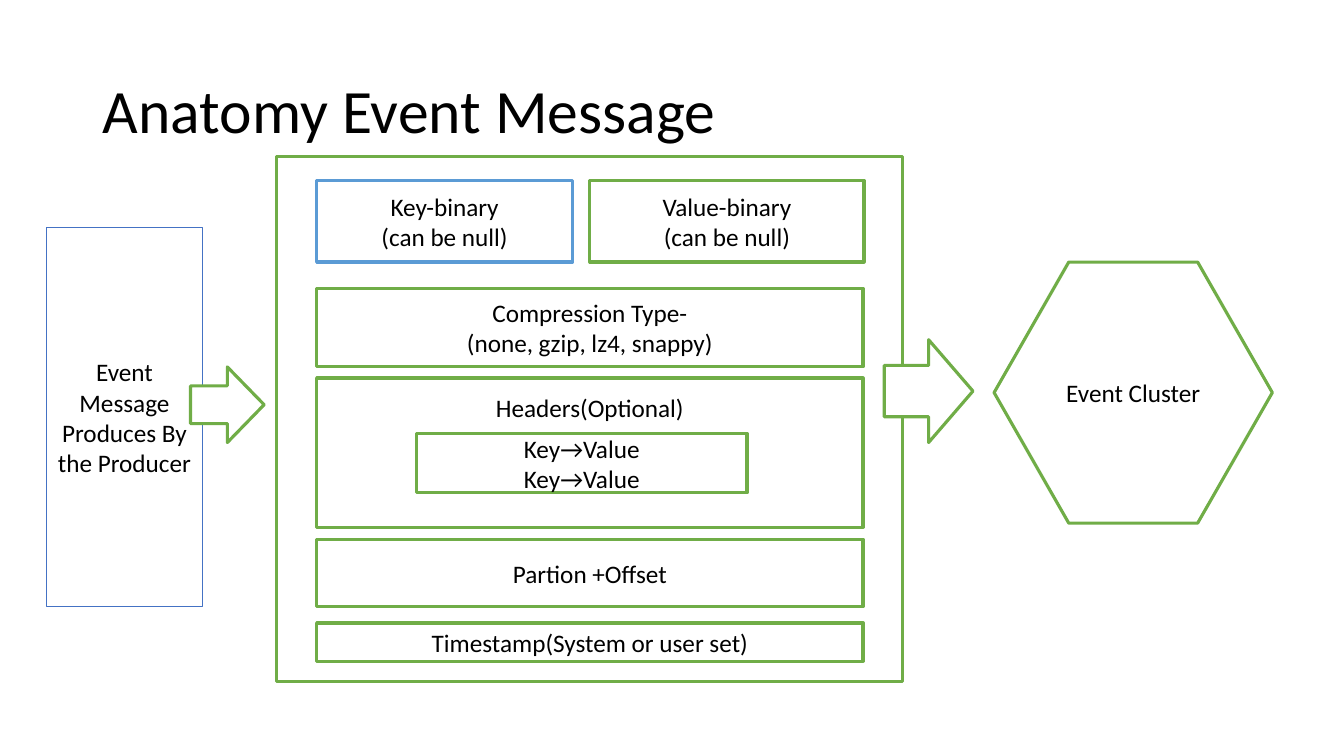
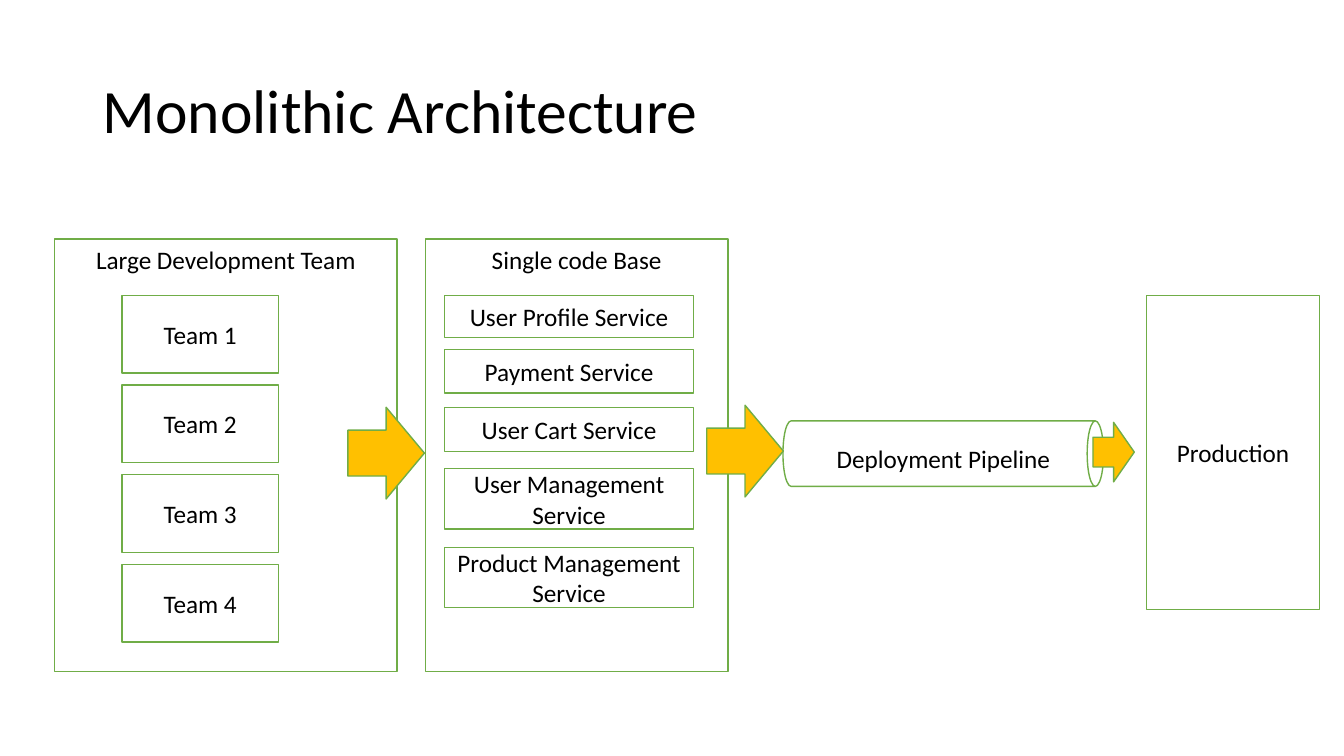
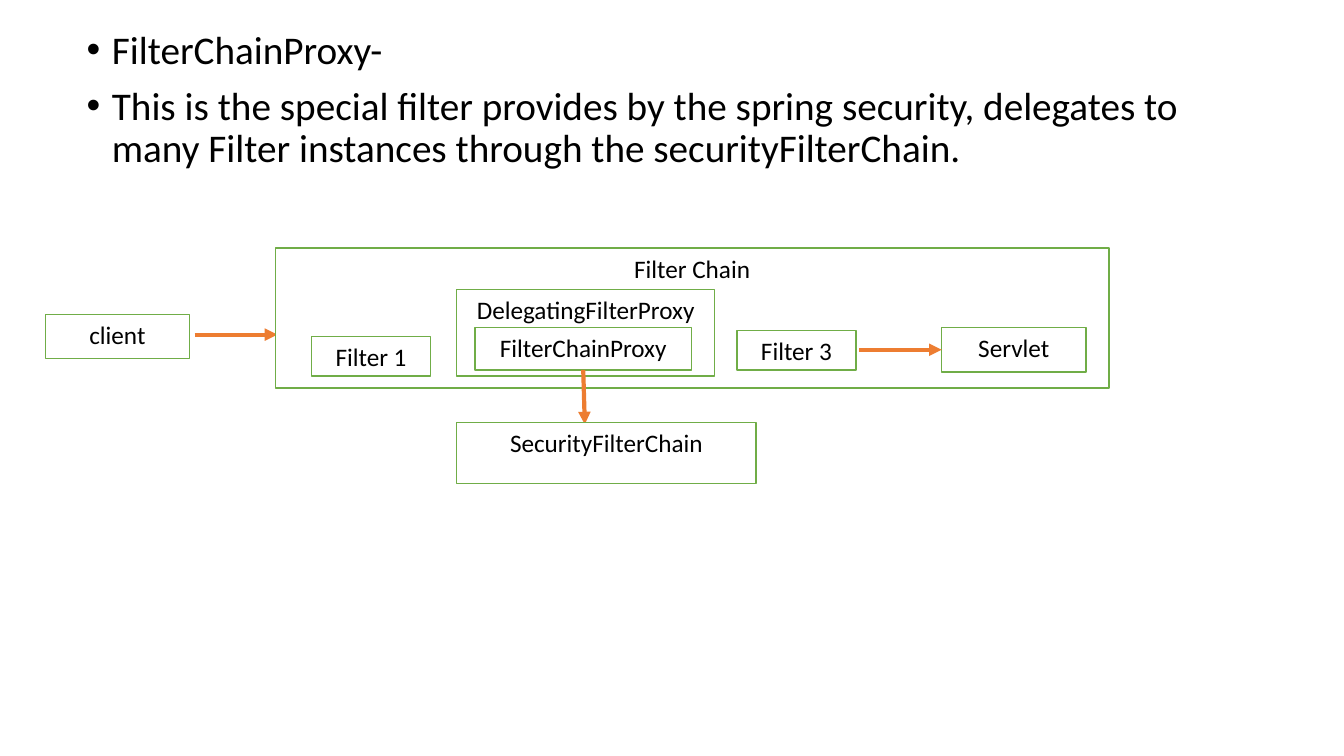
"""Build three slides on event messages, monolithic architecture and filter chains."""
from dataclasses import dataclass

from pptx import Presentation
from pptx.dml.color import RGBColor
from pptx.enum.shapes import MSO_CONNECTOR, MSO_SHAPE
from pptx.enum.text import MSO_ANCHOR, MSO_AUTO_SIZE, PP_ALIGN
from pptx.oxml.ns import qn
from pptx.shapes.autoshape import Shape
from pptx.shapes.connector import Connector
from pptx.slide import Slide
from pptx.util import Inches, Pt

BLACK = RGBColor(0x00, 0x00, 0x00)
WHITE = RGBColor(0xFF, 0xFF, 0xFF)
GREEN = RGBColor(0x70, 0xAD, 0x47)
BLUE = RGBColor(0x44, 0x72, 0xC4)
LIGHT_BLUE = RGBColor(0x5B, 0x9B, 0xD5)
AMBER = RGBColor(0xFF, 0xC0, 0x00)
ORANGE = RGBColor(0xED, 0x7D, 0x31)
FONT = "Calibri"
TITLE_AND_CONTENT, TITLE_ONLY = 1, 5
TOP, LEFT, BOTTOM = 0, 1, 2
ARROW = MSO_SHAPE.RIGHT_ARROW


@dataclass(frozen=True)
class Box:
    """A preset shape with its place, look and text."""

    left: float
    top: float
    width: float
    height: float
    text: str = ""
    kind: MSO_SHAPE = MSO_SHAPE.RECTANGLE
    fill: RGBColor = WHITE
    line: RGBColor = GREEN
    weight: float = 1
    anchor: MSO_ANCHOR = MSO_ANCHOR.MIDDLE
    inset: float = 0.05
    rotation: float = 0


def place(shape: Shape, left: float, top: float, width: float, height: float) -> None:
    """Move and size a shape, in inches."""
    shape.left, shape.top = Inches(left), Inches(top)
    shape.width, shape.height = Inches(width), Inches(height)


def write_text(shape: Shape, content: str, *, size: float = 18,
               align: PP_ALIGN = PP_ALIGN.CENTER, anchor: MSO_ANCHOR = MSO_ANCHOR.MIDDLE,
               spacing: float = 1.0, before: float = 0, inset: float = 0.05,
               bullet: bool = False) -> None:
    """Fill a shape with one formatted paragraph per line of text."""
    frame = shape.text_frame
    frame.text = content
    frame.word_wrap = True
    frame.auto_size = MSO_AUTO_SIZE.NONE
    frame.vertical_anchor = anchor
    frame.margin_top = Inches(inset)
    for paragraph in frame.paragraphs:
        paragraph.alignment = align
        paragraph.line_spacing = spacing
        paragraph.space_before = Pt(before)
        font = paragraph.font
        font.name, font.size, font.color.rgb = FONT, Pt(size), BLACK
        if bullet:
            properties = paragraph._p.get_or_add_pPr()
            properties.set("marL", str(Inches(0.25)))
            properties.set("indent", str(Inches(-0.25)))
            mark = properties.makeelement(qn("a:buChar"), {"char": "•"})
            properties.find(qn("a:defRPr")).addprevious(mark)
        for run in paragraph.runs:
            run.font.name, run.font.size, run.font.color.rgb = FONT, Pt(size), BLACK


def draw_box(slide: Slide, box: Box) -> Shape:
    """Draw one box on the slide."""
    shape = slide.shapes.add_shape(box.kind, Inches(box.left), Inches(box.top),
                                   Inches(box.width), Inches(box.height))
    shape.shadow.inherit = False
    shape.rotation = box.rotation
    shape.fill.solid()
    shape.fill.fore_color.rgb = box.fill
    shape.line.color.rgb = box.line
    shape.line.width = Pt(box.weight)
    if box.text:
        write_text(shape, box.text, anchor=box.anchor, inset=box.inset)
    return shape


def draw_arrow(slide: Slide, start: tuple[float, float], end: tuple[float, float]) -> Connector:
    """Draw a straight orange connector with an arrowhead at its end."""
    connector = slide.shapes.add_connector(MSO_CONNECTOR.STRAIGHT,
                                           *(Inches(value) for value in start + end))
    connector.line.color.rgb = ORANGE
    connector.line.width = Pt(3)
    line = connector.line._get_or_add_ln()
    line.append(line.makeelement(qn("a:tailEnd"), {"type": "triangle"}))
    properties = connector._element.spPr
    properties.append(properties.makeelement(qn("a:effectLst"), {}))
    return connector


def add_titled_slide(presentation: Presentation, title: str) -> Slide:
    """Add a title-only slide in the shared title style."""
    slide = presentation.slides.add_slide(presentation.slide_layouts[TITLE_ONLY])
    place(slide.shapes.title, 0.92, 0.4, 11.5, 1.45)
    write_text(slide.shapes.title, title, size=44, align=PP_ALIGN.LEFT, spacing=0.9)
    return slide


def build_message_slide(presentation: Presentation) -> None:
    """Show the parts of a message between producer and cluster."""
    slide = add_titled_slide(presentation, "Anatomy Event Message")
    left, width, weight = 3.14, 5.42, 2.25
    boxes = [
        Box(0.46, 2.26, 1.55, 3.76, "Event Message Produces By the Producer", line=BLUE),
        Box(2.74, 1.55, 6.21, 5.21, weight=weight),
        Box(left, 1.79, 2.54, 0.81, "Key-binary\n(can be null)", line=LIGHT_BLUE, weight=weight),
        Box(5.85, 1.79, 2.72, 0.81, "Value-binary\n(can be null)", weight=weight),
        Box(left, 2.86, width, 0.78, "Compression Type-\n(none, gzip, lz4, snappy)",
            weight=weight),
        Box(left, 3.75, width, 1.48, "Headers(Optional)", weight=weight,
            anchor=MSO_ANCHOR.TOP, inset=0.14),
        Box(4.13, 4.3, 3.28, 0.59, "Key→Value\nKey→Value", weight=weight),
        Box(left, 5.35, width, 0.67, "Partion +Offset", weight=weight),
        Box(left, 6.18, width, 0.38, "Timestamp(System or user set)", weight=weight),
        Box(1.89, 3.64, 0.73, 0.75, kind=ARROW, weight=weight),
        Box(8.77, 3.37, 0.88, 1.02, kind=ARROW, weight=weight),
    ]
    for box in boxes:
        draw_box(slide, box)
    cluster = draw_box(slide, Box(9.86, 2.6, 2.76, 2.59, "Event Cluster",
                                  kind=MSO_SHAPE.HEXAGON, weight=weight))
    cluster.adjustments[0] = 0.286


def build_monolith_slide(presentation: Presentation) -> None:
    """Show teams, one code base, the pipeline and production."""
    slide = add_titled_slide(presentation, "Monolithic Architecture")
    services = [
        ("User Profile Service", 2.93, 0.42),
        ("Payment Service", 3.47, 0.43),
        ("User Cart Service", 4.04, 0.44),
        ("User Management Service", 4.65, 0.6),
        ("Product Management Service", 5.43, 0.6),
    ]
    boxes = [
        Box(9.03, 2.91, 0.65, 3.18, kind=MSO_SHAPE.CAN, rotation=90),
        Box(4.22, 2.37, 3, 4.29, "Single code Base", anchor=MSO_ANCHOR.TOP),
        Box(0.54, 2.37, 3.4, 4.29, "Large Development Team", anchor=MSO_ANCHOR.TOP),
        *(Box(4.41, top, 2.47, height, name) for name, top, height in services),
        *(Box(1.21, 2.93 + 0.89 * index, 1.55, 0.77, f"Team {index + 1}") for index in range(4)),
        Box(3.45, 4.04, 0.76, 0.91, kind=ARROW, fill=AMBER),
        Box(7.01, 4.02, 0.76, 0.91, kind=ARROW, fill=AMBER),
        Box(10.84, 4.19, 0.41, 0.59, kind=ARROW, fill=AMBER),
        Box(11.37, 2.93, 1.72, 3.12, "Production"),
    ]
    for box in boxes:
        draw_box(slide, box)
    label = slide.shapes.add_textbox(Inches(8.2), Inches(4.35), Inches(2.75), Inches(0.4))
    write_text(label, "Deployment Pipeline", align=PP_ALIGN.LEFT, anchor=MSO_ANCHOR.TOP)


def build_filter_slide(presentation: Presentation) -> None:
    """Show how a request passes through the filter chain."""
    slide = presentation.slides.add_slide(presentation.slide_layouts[TITLE_AND_CONTENT])
    title = slide.shapes.title._element
    title.getparent().remove(title)
    body = slide.placeholders[1]
    place(body, 0.76, 0.25, 11.65, 6.51)
    write_text(body, "FilterChainProxy-\nThis is the special filter provides by the spring "
               "security, delegates to many Filter instances through the securityFilterChain.",
               size=28, align=PP_ALIGN.LEFT, anchor=MSO_ANCHOR.TOP, spacing=0.9, before=10,
               bullet=True)

    def add_node(left: float, top: float, width: float, height: float, name: str) -> Shape:
        """Draw a box with its name at the top."""
        return draw_box(slide, Box(left, top, width, height, name, anchor=MSO_ANCHOR.TOP))

    add_node(0.45, 3.12, 1.43, 0.44, "client")
    draw_arrow(slide, (1.93, 3.32), (2.75, 3.32))
    add_node(2.73, 2.46, 8.27, 1.39, "Filter Chain")
    add_node(3.09, 3.34, 1.18, 0.39, "Filter 1")
    add_node(4.53, 2.87, 2.56, 0.86, "DelegatingFilterProxy")
    add_node(7.31, 3.28, 1.18, 0.39, "Filter 3")
    servlet = add_node(9.34, 3.25, 1.43, 0.44, "Servlet")
    draw_arrow(slide, (8.52, 3.47), (9.34, 3.47)).end_connect(servlet, LEFT)
    proxy = add_node(4.71, 3.25, 2.15, 0.42, "FilterChainProxy")
    draw_arrow(slide, (5.79, 3.67), (5.8, 4.21)).begin_connect(proxy, BOTTOM)
    add_node(4.53, 4.19, 2.97, 0.61, "SecurityFilterChain")


def main() -> None:
    """Build and save the presentation."""
    presentation = Presentation()
    presentation.slide_width, presentation.slide_height = Inches(13.33), Inches(7.5)
    build_message_slide(presentation)
    build_monolith_slide(presentation)
    build_filter_slide(presentation)
    presentation.save("out.pptx")


if __name__ == "__main__":
    main()
